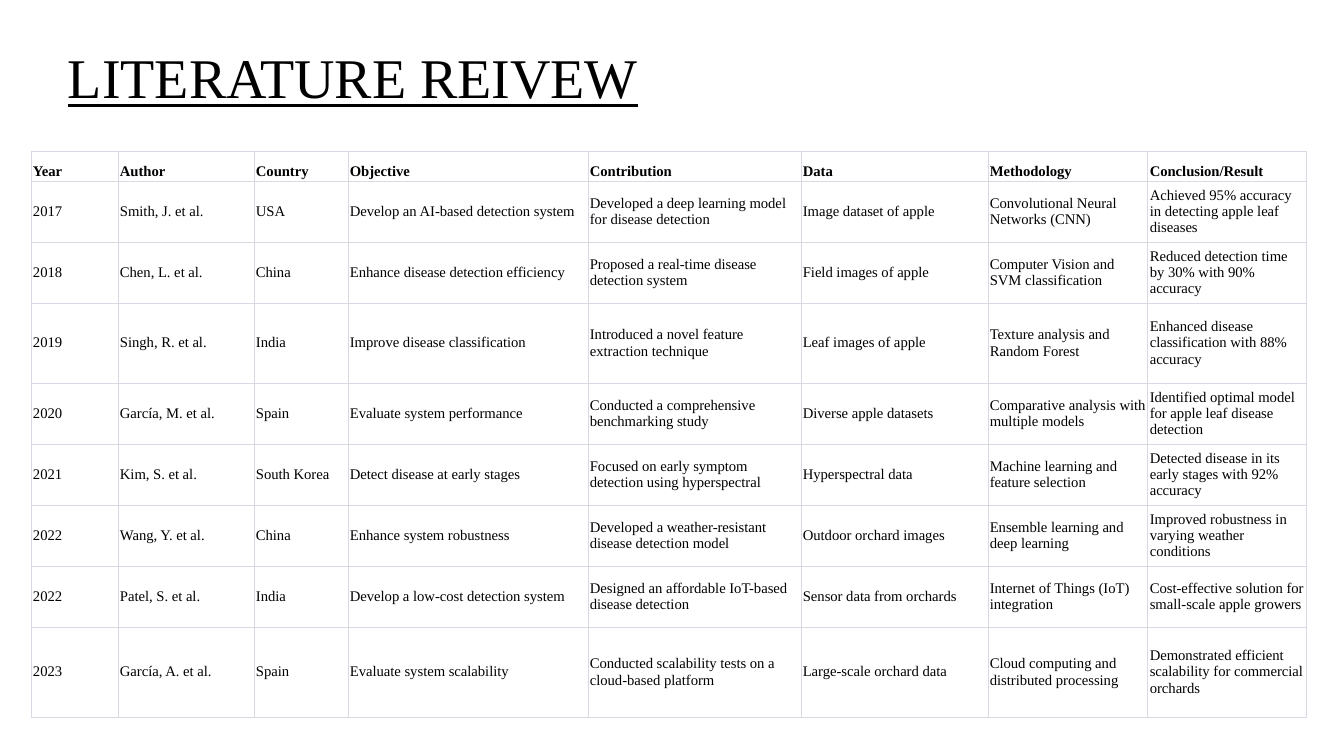
import pptx
import pptx.dml.color
import pptx.enum.text
import pptx.oxml
import pptx.oxml.ns
import pptx.util

TITLE = "LITERATURE REIVEW"
HEADINGS = ("Year", "Author", "Country", "Objective", "Contribution", "Data",
            "Methodology", "Conclusion/Result")
STUDIES = [
    ("2017", "Smith, J. et al.", "USA", "Develop an AI-based detection system",
     "Developed a deep learning model for disease detection", "Image dataset of apple",
     "Convolutional Neural Networks (CNN)",
     "Achieved 95% accuracy in detecting apple leaf diseases"),
    ("2018", "Chen, L. et al.", "China", "Enhance disease detection efficiency",
     "Proposed a real-time disease detection system", "Field images of apple",
     "Computer Vision and SVM classification",
     "Reduced detection time by 30% with 90% accuracy"),
    ("2019", "Singh, R. et al.", "India", "Improve disease classification",
     "Introduced a novel feature extraction technique", "Leaf images of apple",
     "Texture analysis and Random Forest",
     "Enhanced disease classification with 88% accuracy"),
    ("2020", "García, M. et al.", "Spain", "Evaluate system performance",
     "Conducted a comprehensive benchmarking study", "Diverse apple datasets",
     "Comparative analysis with multiple models",
     "Identified optimal model for apple leaf disease detection"),
    ("2021", "Kim, S. et al.", "South Korea", "Detect disease at early stages",
     "Focused on early symptom detection using hyperspectral", "Hyperspectral data",
     "Machine learning and feature selection",
     "Detected disease in its early stages with 92% accuracy"),
    ("2022", "Wang, Y. et al.", "China", "Enhance system robustness",
     "Developed a weather-resistant disease detection model", "Outdoor orchard images",
     "Ensemble learning and deep learning",
     "Improved robustness in varying weather conditions"),
    ("2022", "Patel, S. et al.", "India", "Develop a low-cost detection system",
     "Designed an affordable IoT-based disease detection", "Sensor data from orchards",
     "Internet of Things (IoT) integration",
     "Cost-effective solution for small-scale apple growers"),
    ("2023", "García, A. et al.", "Spain", "Evaluate system scalability",
     "Conducted scalability tests on a cloud-based platform", "Large-scale orchard data",
     "Cloud computing and distributed processing",
     "Demonstrated efficient scalability for commercial orchards"),
]

# Lengths in px
SLIDE_SIZE = (1344, 756)
TITLE_BOX = (58, 38, 672, 78)
TABLE_CORNER = (31, 151)
COLUMN_WIDTHS = (87, 136, 94, 240, 213, 187, 160, 159)
ROW_HEIGHTS = (30, 61, 61, 80, 61, 61, 61, 61, 90)
CELL_MARGINS = {"margin_left": 2, "margin_top": 1, "margin_right": 2, "margin_bottom": 1}

BLACK = pptx.dml.color.RGBColor(0x00, 0x00, 0x00)
BORDER = pptx.dml.color.RGBColor(0xD9, 0xD9, 0xE3)
BORDER_WIDTH = pptx.util.Pt(0.6)
TITLE_FONT = {"name": "Times New Roman", "size": pptx.util.Pt(40), "underline": True}
CELL_FONT = {"name": "Times New Roman", "size": pptx.util.Pt(10.5)}


def px(length):
    return pptx.util.Emu(round(length * 914400 / 100.8))


def write(frame, text, font_format):
    para = frame.paragraphs[0]
    span = para.add_run()
    span.text = text
    for name, value in font_format.items():
        setattr(span.font, name, value)
    span.font.color.rgb = BLACK


def add_borders(cell):
    properties = cell._tc.get_or_add_tcPr()
    for side in "LRTB":
        properties.append(pptx.oxml.parse_xml(
            f'<a:ln{side} {pptx.oxml.ns.nsdecls("a")} w="{BORDER_WIDTH}">'
            f'<a:solidFill><a:srgbClr val="{BORDER}"/></a:solidFill></a:ln{side}>'))


def add_title(page):
    box = page.shapes.add_textbox(*map(px, TITLE_BOX))
    box.text_frame.word_wrap = True
    write(box.text_frame, TITLE, TITLE_FONT)


def add_review_table(page):
    rows = [HEADINGS, *STUDIES]
    table = page.shapes.add_table(
        len(rows), len(HEADINGS), *map(px, TABLE_CORNER),
        px(sum(COLUMN_WIDTHS)), px(sum(ROW_HEIGHTS))).table
    table.first_row = table.horz_banding = False
    for column, width in zip(table.columns, COLUMN_WIDTHS):
        column.width = px(width)
    for row, height in zip(table.rows, ROW_HEIGHTS):
        row.height = px(height)

    anchors = pptx.enum.text.MSO_ANCHOR
    for row_index, texts in enumerate(rows):
        heading = row_index == 0
        for column_index, text in enumerate(texts):
            cell = table.cell(row_index, column_index)
            for name, margin in CELL_MARGINS.items():
                setattr(cell, name, px(margin))
            cell.vertical_anchor = anchors.BOTTOM if heading else anchors.MIDDLE
            add_borders(cell)
            cell.fill.background()
            write(cell.text_frame, text, {**CELL_FONT, "bold": heading})


def main():
    deck = pptx.Presentation()
    deck.slide_width, deck.slide_height = map(px, SLIDE_SIZE)
    page = deck.slides.add_slide(deck.slide_layouts[6])
    add_review_table(page)
    add_title(page)
    deck.save("out.pptx")


if __name__ == "__main__":
    main()
